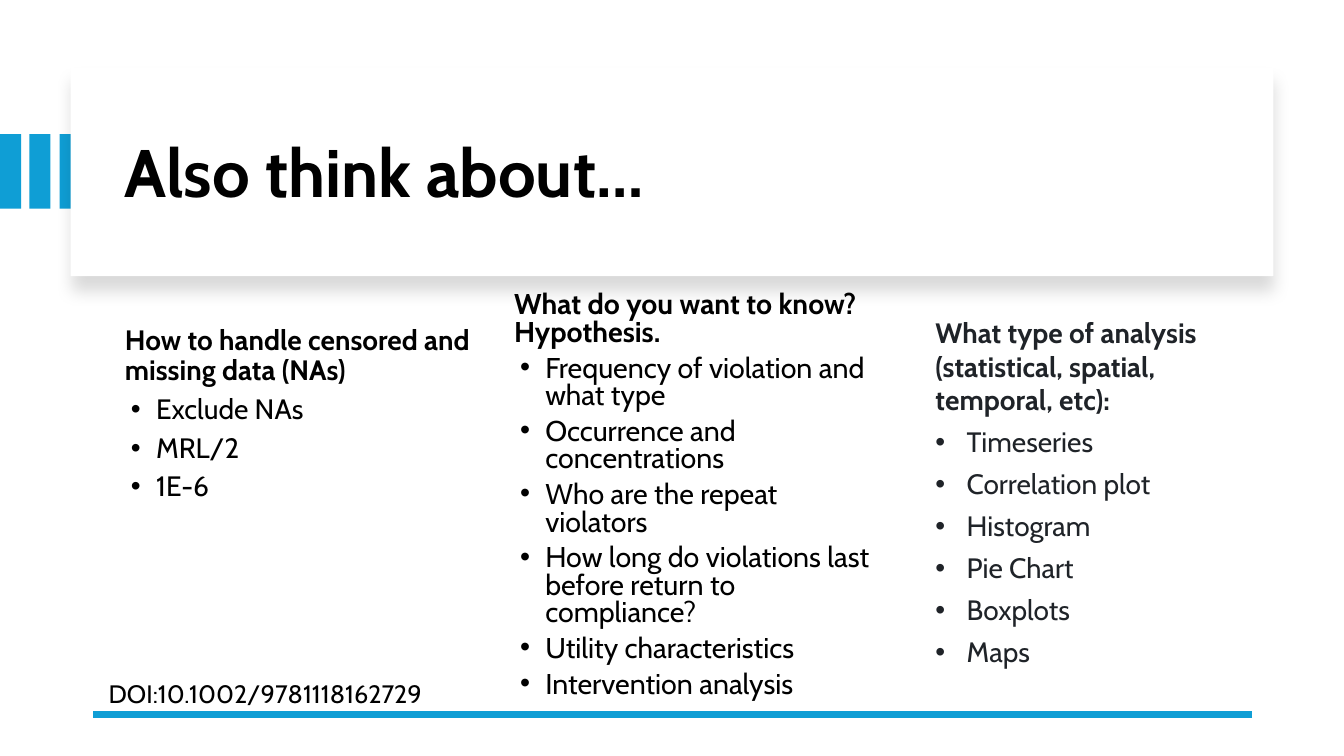
"""Build the slide on open questions for the data analysis."""
from dataclasses import dataclass

from lxml import etree
from pptx import Presentation
from pptx.dml.color import RGBColor
from pptx.enum.shapes import MSO_CONNECTOR, MSO_SHAPE
from pptx.enum.text import MSO_ANCHOR
from pptx.oxml.ns import qn
from pptx.slide import Slide
from pptx.util import Pt

PX = 9144
RECT = MSO_SHAPE.RECTANGLE
LINE = MSO_CONNECTOR.STRAIGHT
TOP, MID = MSO_ANCHOR.TOP, MSO_ANCHOR.MIDDLE
FONT = "Cabin"
HUES = {"blue": "0F9ED5", "white": "FFFFFF", "black": "000000", "slate": "1F2328"}


@dataclass(frozen=True)
class Box:
    """Place and size in px."""
    left: int
    top: int
    wide: int
    high: int

    def emu(self) -> list[int]:
        """Return the four lengths in EMU."""
        return [n * PX for n in (self.left, self.top, self.wide, self.high)]


@dataclass(frozen=True)
class Block:
    """A text block with a lead line and bullet items."""
    box: Box
    lead: str
    items: tuple[str, ...] = ()
    size: float = 20
    space: float = 0.9
    after: int = 6
    hang: int = 25
    inset: int = 0
    hue: str = "black"
    bold: bool = True
    anchor: MSO_ANCHOR = MID


BARS = [Box(left, 133, 21, 74) for left in (0, 29, 59)]
CARD = Box(70, 67, 1193, 207)
BLOCKS = [
    Block(Box(114, 89, 1087, 170), "Also think about…", size=48, after=0),
    Block(Box(114, 308, 371, 207), "How to handle censored and missing data (NAs)",
          ("Exclude NAs", "MRL/2", "1E-6")),
    Block(Box(500, 302, 388, 381), "What do you want to know? Hypothesis.",
          ("Frequency of violation and what type", "Occurrence and concentrations",
           "Who are the repeat violators",
           "How long do violations last before return to compliance?",
           "Utility characteristics", "Intervention analysis"),
          size=20.4, space=0.8),
    Block(Box(918, 308, 360, 364),
          "What type of analysis (statistical, spatial, temporal, etc):",
          ("Timeseries", "Correlation plot", "Histogram", "Pie Chart", "Boxplots", "Maps"),
          space=1.0, hang=31, hue="slate", anchor=TOP),
    Block(Box(92, 671, 344, 38), "DOI:10.1002/9781118162729", size=18, inset=6,
          bold=False, anchor=TOP),
]


def tint(name: str) -> RGBColor:
    """Return the named colour."""
    return RGBColor.from_string(HUES[name])


def add_rect(slide: Slide, box: Box, hue: str):
    """Draw a plain filled rectangle."""
    rect = slide.shapes.add_shape(RECT, *box.emu())
    rect.shadow.inherit = False
    rect.fill.solid()
    rect.fill.fore_color.rgb = tint(hue)
    rect.line.fill.background()
    return rect


def add_card(slide: Slide) -> None:
    """Draw the title card with its soft shadow."""
    card = add_rect(slide, CARD, "white")
    glow = etree.SubElement(
        card._element.spPr.find(qn("a:effectLst")), qn("a:outerShdw"),
        blurRad=str(Pt(11)), dist=str(Pt(10)), dir="5400000", algn="t", rotWithShape="0")
    shade = etree.SubElement(glow, qn("a:srgbClr"), val=HUES["black"])
    etree.SubElement(shade, qn("a:alpha"), val="15000")


def add_rule(slide: Slide) -> None:
    """Draw the rule at the foot."""
    rule = slide.shapes.add_connector(LINE, 1242 * PX, 709 * PX, 92 * PX, 709 * PX)
    rule.line.color.rgb = tint("blue")
    rule.line.width = Pt(4.5)
    etree.SubElement(rule._element.spPr, qn("a:effectLst"))


def add_block(slide: Slide, block: Block) -> None:
    """Write a lead line and its bullets."""
    frame = slide.shapes.add_textbox(*block.box.emu()).text_frame
    frame.word_wrap = True
    frame.vertical_anchor = block.anchor
    for rank, text in enumerate((block.lead, *block.items)):
        para = frame.add_paragraph() if rank else frame.paragraphs[0]
        props = para._p.get_or_add_pPr()
        if rank:
            props.set("marL", str(31 * PX))
            props.set("indent", str(-block.hang * PX))
            etree.SubElement(props, qn("a:buFont"), typeface="Arial")
            etree.SubElement(props, qn("a:buChar"), char="•")
        elif block.inset:
            props.set("marL", str(block.inset * PX))
        para.line_spacing = block.space
        para.space_after = Pt(block.after)
        run = para.add_run()
        run.text = text
        run.font.name = FONT
        run.font.size = Pt(block.size)
        run.font.bold = block.bold and not rank
        run.font.color.rgb = tint(block.hue)


def main() -> None:
    """Build and save the deck."""
    deck = Presentation()
    deck.slide_width, deck.slide_height = 1333 * PX, 750 * PX
    slide = deck.slides.add_slide(deck.slide_layouts[6])
    for bar in BARS:
        add_rect(slide, bar, "blue")
    add_card(slide)
    add_rule(slide)
    for block in BLOCKS:
        add_block(slide, block)
    deck.save("out.pptx")


if __name__ == "__main__":
    main()
